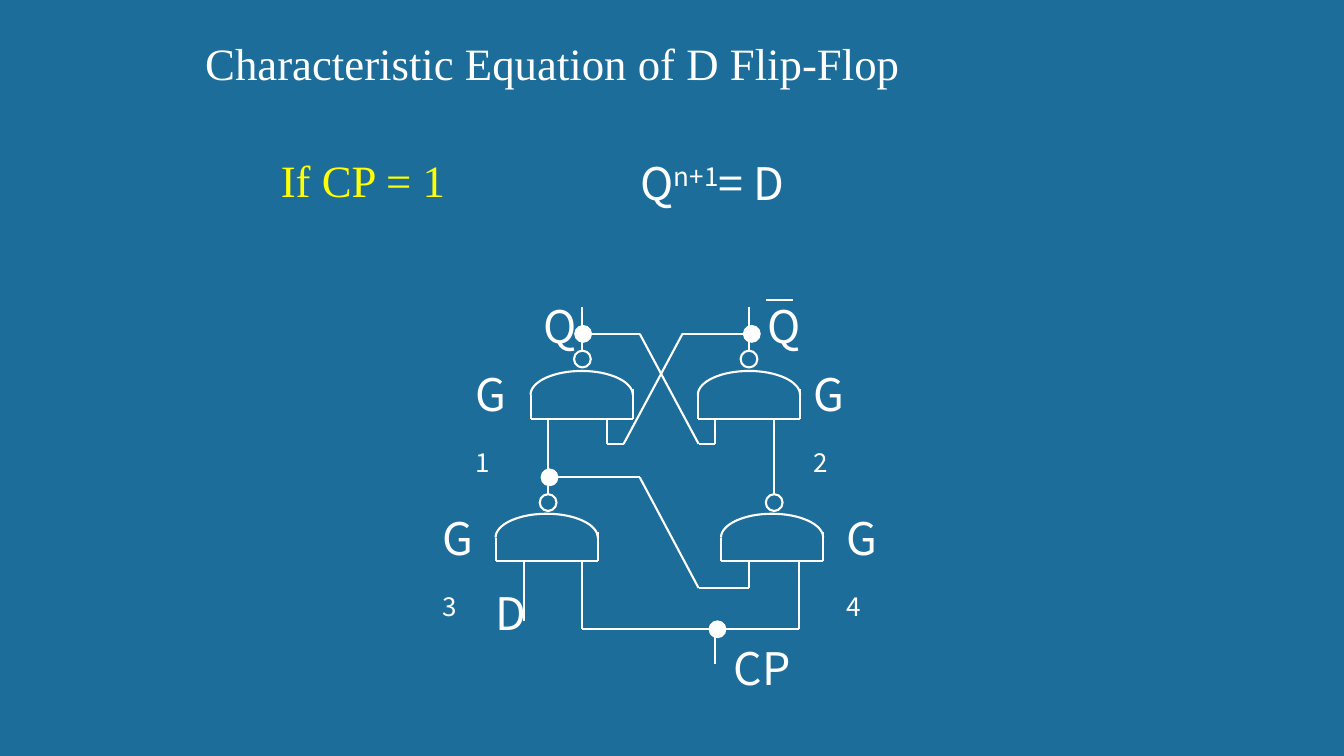
from dataclasses import dataclass
from itertools import pairwise
from math import cos, pi, sin

from lxml.etree import SubElement
from pptx import Presentation
from pptx.dml.color import RGBColor
from pptx.enum.shapes import MSO_CONNECTOR, MSO_SHAPE
from pptx.enum.text import MSO_AUTO_SIZE
from pptx.oxml.ns import qn
from pptx.util import Pt


@dataclass(frozen=True)
class Theme:
    background: RGBColor = RGBColor.from_string("1C6D9A")
    ink: RGBColor = RGBColor.from_string("FFFFFF")
    accent: RGBColor = RGBColor.from_string("FFFF00")
    serif: str = "Times New Roman"
    sans: str = "Noto Sans CJK SC"
    serif_leading: float = 39
    sans_leading: float = 41
    text_size: float = 32
    wire_width: float = 1.5
    dot_line_width: float = 0.75


class CircuitSlide:
    def __init__(self, slide, theme):
        self.slide = slide
        self.theme = theme
        slide.background.fill.solid()
        slide.background.fill.fore_color.rgb = theme.background

    def text(self, left, top, width, height, *parts, serif=False, color=None):
        theme = self.theme
        box = self.slide.shapes.add_textbox(Pt(left), Pt(top), Pt(width), Pt(height))
        frame = box.text_frame
        frame.word_wrap = True
        frame.auto_size = MSO_AUTO_SIZE.SHAPE_TO_FIT_TEXT
        paragraph = frame.paragraphs[0]
        paragraph.line_spacing = Pt(theme.serif_leading if serif else theme.sans_leading)
        paragraph.font.size = Pt(theme.text_size)
        paragraph.font.name = theme.serif if serif else theme.sans
        paragraph.font.color.rgb = color or theme.ink
        for wording, baseline in parts:
            run = paragraph.add_run()
            run.text = wording
            if baseline:
                run._r.get_or_add_rPr().set("baseline", str(baseline * 1000))

    def wire(self, *points, shapes=None):
        shapes = shapes or self.slide.shapes
        for (x1, y1), (x2, y2) in pairwise(points):
            segment = shapes.add_connector(
                MSO_CONNECTOR.STRAIGHT, Pt(x1), Pt(y1), Pt(x2), Pt(y2))
            segment.line.color.rgb = self.theme.ink
            segment.line.width = Pt(self.theme.wire_width)
            SubElement(segment._element.spPr, qn("a:effectLst"))

    def circle(self, x, y, filled):
        size = 12
        circle = self.slide.shapes.add_shape(
            MSO_SHAPE.OVAL, Pt(x - size / 2), Pt(y - size / 2), Pt(size), Pt(size))
        circle.shadow.inherit = False
        circle.line.color.rgb = self.theme.ink
        if filled:
            circle.fill.solid()
            circle.fill.fore_color.rgb = self.theme.ink
            circle.line.width = Pt(self.theme.dot_line_width)
        else:
            circle.fill.background()
            circle.line.width = Pt(self.theme.wire_width)

    def gate(self, left, base):
        width, rise, steps = 73, 17, 32
        shoulder, right = base - rise, left + width
        shapes = self.slide.shapes.add_group_shape().shapes
        arc = [(Pt(left + width / 2 * (1 - cos(pi * step / steps))),
                Pt(shoulder - rise * sin(pi * step / steps)))
               for step in range(steps + 1)]
        builder = shapes.build_freeform(*arc[0])
        builder.add_line_segments(arc[1:], close=False)
        dome = builder.convert_to_shape()
        dome.shadow.inherit = False
        dome.fill.background()
        dome.line.color.rgb = self.theme.ink
        dome.line.width = Pt(self.theme.wire_width)
        self.wire((left, shoulder), (left, base), (right, base), (right, base - 21),
                  shapes=shapes)


def main():
    presentation = Presentation()
    presentation.slide_width, presentation.slide_height = Pt(960), Pt(540)
    theme = Theme()
    circuit = CircuitSlide(
        presentation.slides.add_slide(presentation.slide_layouts[6]), theme)

    circuit.text(139.5, 21, 683, 46, ("Characteristic Equation of D Flip-Flop", 0),
                 serif=True)
    circuit.text(193.5, 105, 430.5, 46, ("If CP = 1", 0), serif=True, color=theme.accent)
    circuit.text(450.5, 105, 386, 46, ("Q", 0), ("n+1", 30), ("= D", 0))

    q_x, q_bar_x, g3_x, g4_x = 416, 535, 391.5, 553
    output_y, feedback_y, latch_base, cross_y = 219, 238.5, 299, 317
    node_y, input_base, link_y, clock_y = 341, 401, 420, 449.5

    for output_x in (q_x, q_bar_x):
        circuit.wire((output_x, output_y), (output_x, 250.5))
    circuit.wire((q_x, feedback_y), (457, feedback_y), (499, cross_y),
                 (511, cross_y), (511, latch_base))
    circuit.wire((q_bar_x, feedback_y), (487.5, feedback_y), (445.5, cross_y),
                 (433.5, cross_y), (433.5, latch_base))
    for input_x in (g3_x, g4_x):
        circuit.wire((input_x, latch_base), (input_x, 353))
    circuit.wire((g3_x, node_y), (457, node_y), (499, link_y),
                 (q_bar_x, link_y), (q_bar_x, input_base))
    circuit.wire((374.5, input_base), (374.5, 443.5))
    circuit.wire((q_x, input_base), (q_x, clock_y), (570.5, clock_y), (570.5, input_base))
    circuit.wire((511, clock_y), (511, 474))
    circuit.wire((547, 214.5), (566.5, 214.5))

    for bubble in ((q_x, 256.5), (q_bar_x, 256.5), (g3_x, 359), (g4_x, 359)):
        circuit.circle(*bubble, filled=False)
    for junction in ((392.5, node_y), (416.5, feedback_y), (537, feedback_y),
                     (512.5, clock_y)):
        circuit.circle(*junction, filled=True)
    for gate_left, gate_base in ((379, latch_base), (498.5, latch_base),
                                 (354, input_base), (515, input_base)):
        circuit.gate(gate_left, gate_base)

    for signal, left, top, width in (("Q", 381, 207.5, 30), ("Q", 541, 207.5, 30),
                                     ("D", 347, 412, 30), ("CP", 517, 451.5, 65.5)):
        circuit.text(left, top, width, 46, (signal, 0))
    for number, left, top in (("1", 332.5, 255.5), ("2", 574, 255.5),
                              ("3", 309, 358.5), ("4", 597.5, 358.5)):
        circuit.text(left, top, 42, 46, ("G", 0), (number, -25))

    presentation.save("out.pptx")


if __name__ == "__main__":
    main()
